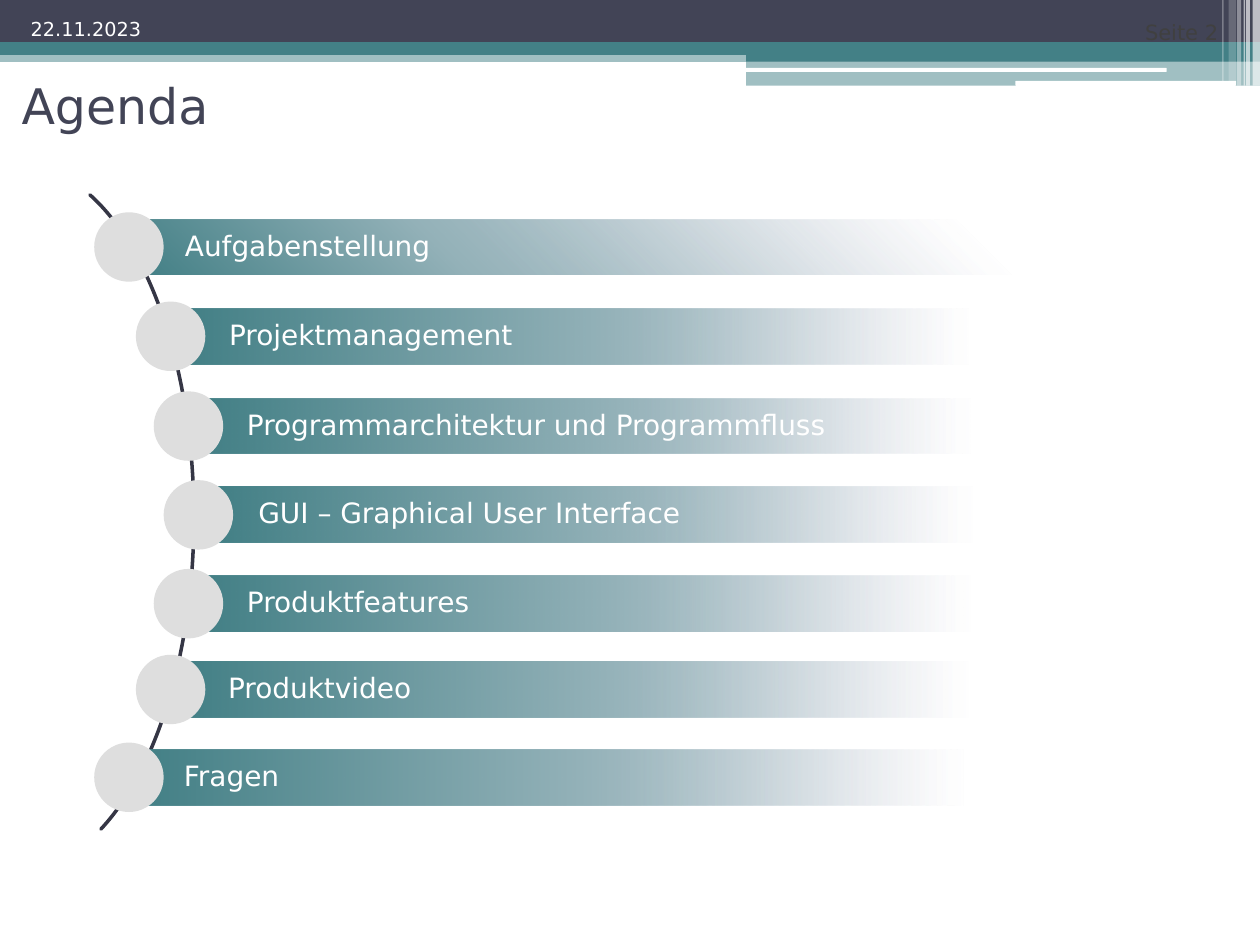
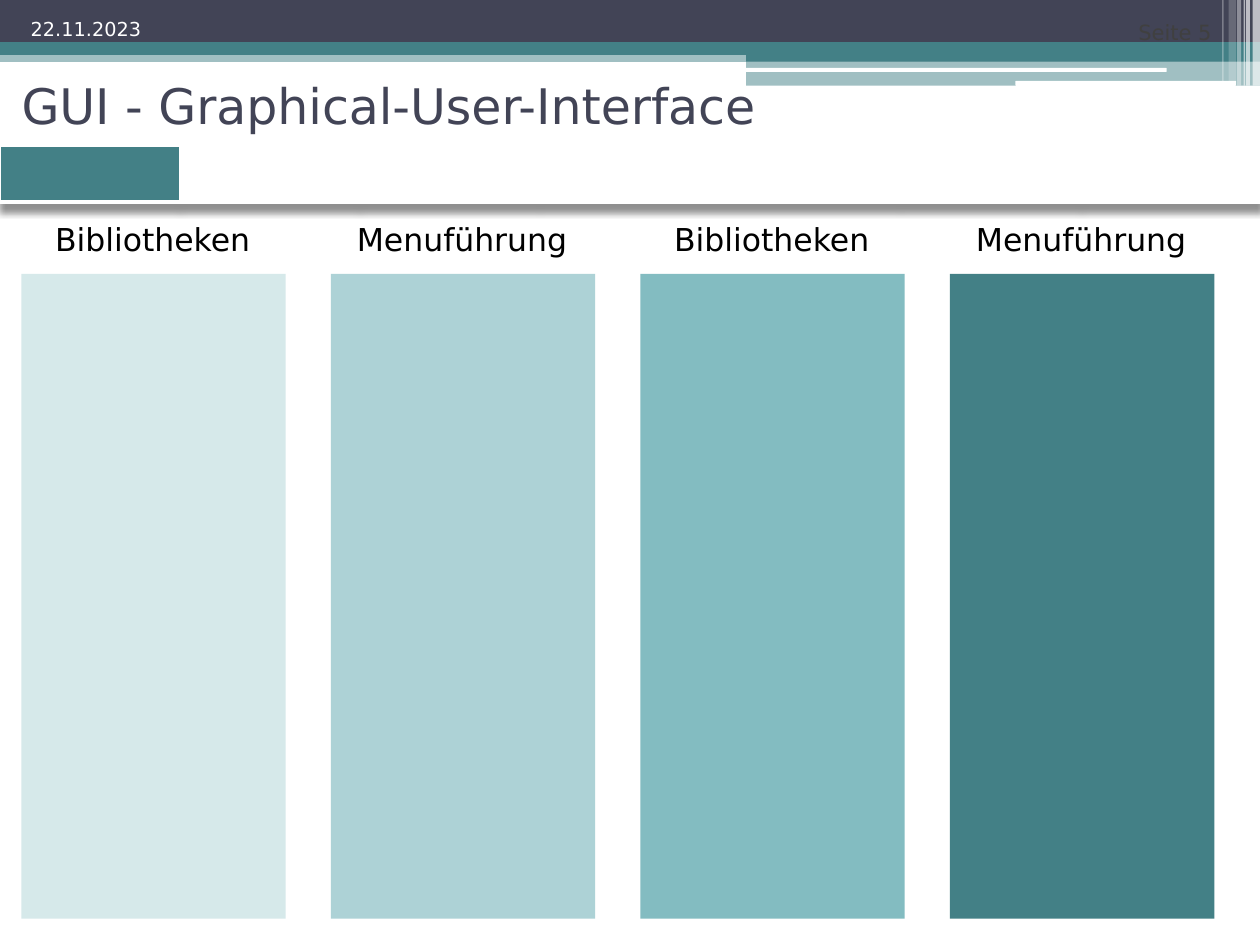
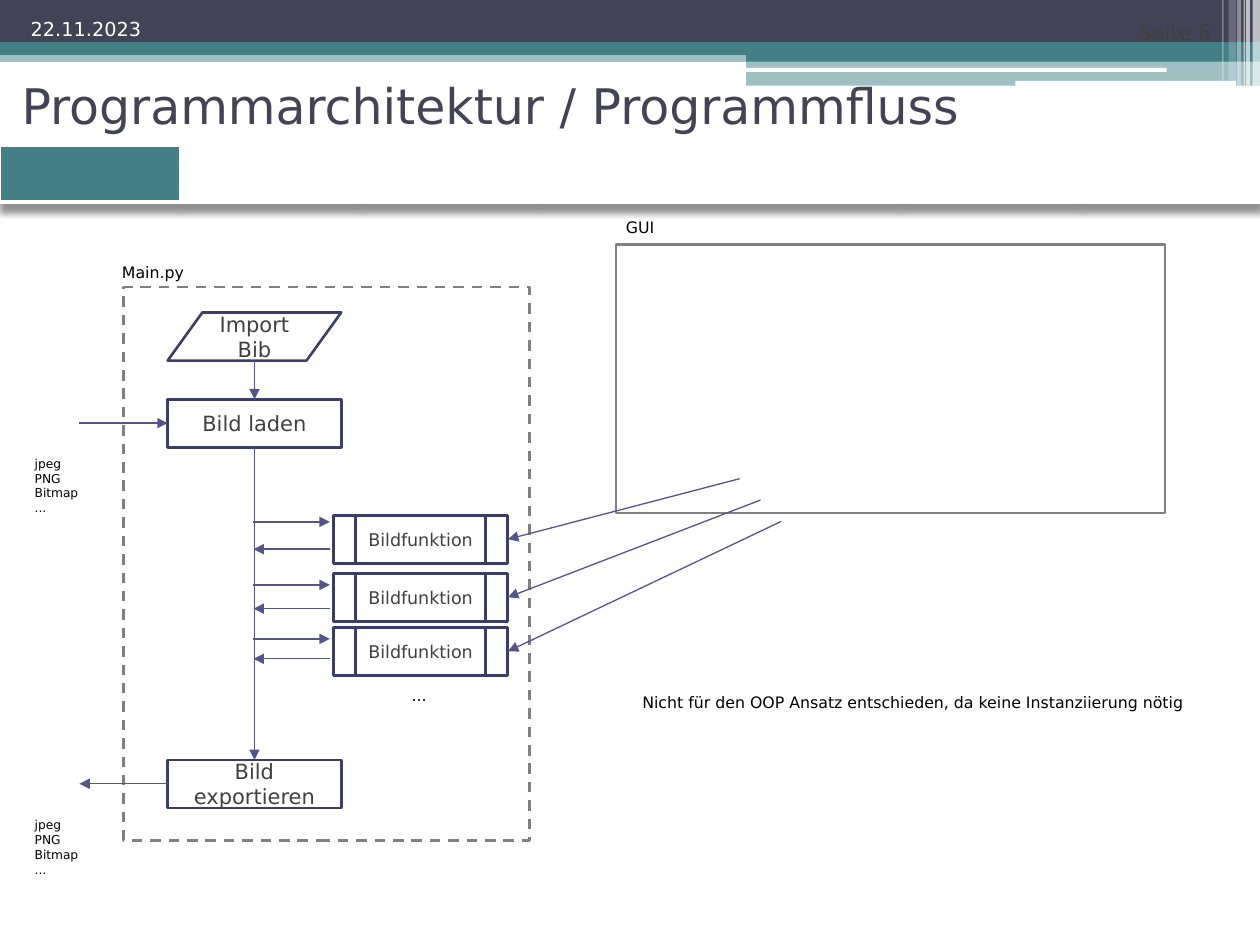
"""Build three slides on an image program: agenda, user interface and program flow."""
from lxml.etree import SubElement
from pptx import Presentation
from pptx.dml.color import RGBColor
from pptx.enum.dml import MSO_LINE
from pptx.enum.shapes import MSO_CONNECTOR, MSO_SHAPE
from pptx.enum.text import MSO_ANCHOR, MSO_AUTO_SIZE, PP_ALIGN
from pptx.oxml import parse_xml
from pptx.oxml.ns import nsdecls, qn
from pptx.util import Cm, Pt

FONT = "DejaVu Sans"
HUES = {
    "navy": "424456", "teal": "438086", "white": "FFFFFF", "black": "000000",
    "text": "404040", "arc": "353645", "dot": "DEDEDE", "grey": "808080",
    "edge": "3D3E66", "arrow": "53548A", "pale": "D6E9EA", "light": "ADD2D6",
    "mid": "83BCC1", "lilac": "A3A4C3", "mist": "94B2B9", "haze": "E4E4EC",
}
RECT = MSO_SHAPE.RECTANGLE
ROUND = MSO_SHAPE.ROUNDED_RECTANGLE


def draw(slide, kind, place, fill=None, line=None, width=1.5, alpha=100):
    """Add a preset shape with a flat fill and outline."""
    shape = slide.shapes.add_shape(kind, *map(Cm, place))
    shape.shadow.inherit = False
    if fill:
        shape.fill.solid()
        shape.fill.fore_color.rgb = RGBColor.from_string(HUES[fill])
    else:
        shape.fill.background()
    if line:
        shape.line.color.rgb = RGBColor.from_string(HUES[line])
        shape.line.width = Pt(width)
    else:
        shape.line.fill.background()
    if alpha < 100:
        tint = shape.element.spPr.find(".//" + qn("a:srgbClr"))
        SubElement(tint, qn("a:alpha"), val=str(alpha * 1000))
    return shape


def write(shape, text, size, hue="black", align=PP_ALIGN.LEFT,
          anchor=MSO_ANCHOR.MIDDLE, wrap=True):
    """Set and format the text of a shape."""
    frame = shape.text_frame
    frame.text = text
    frame.word_wrap = wrap
    frame.auto_size = MSO_AUTO_SIZE.NONE if wrap else MSO_AUTO_SIZE.SHAPE_TO_FIT_TEXT
    frame.vertical_anchor = anchor
    for para in frame.paragraphs:
        para.alignment = align
        for run in para.runs:
            run.font.name = FONT
            run.font.size = Pt(size)
            run.font.color.rgb = RGBColor.from_string(HUES[hue])


prs = Presentation()
prs.slide_width, prs.slide_height = Cm(25.4), Cm(19.05)
layout = prs.slide_layouts[5]
for holder in list(layout.placeholders)[1:]:
    layout.shapes.element.remove(holder.element)

slides = []
for title, page in [("Agenda", "Seite 2"),
                    ("GUI - Graphical-User-Interface", "Seite 5 "),
                    ("Programmarchitektur / Programmfluss", "Seite 6 ")]:
    slide = prs.slides.add_slide(layout)
    slides.append(slide)
    head = slide.shapes.title
    head.left, head.top, head.width, head.height = map(Cm, (0.18, 1.32, 22.86, 1.6))
    write(head, title, 28, "navy")
    for place, text, size, hue in [((20.29, 0, 4.52, 1.02), page, 12, "text"),
                                   ((0.18, -0.08, 2.92, 1.02), "22.11.2023", 11, "white")]:
        label = slide.shapes.add_textbox(*map(Cm, place))
        write(label, text, size, hue, PP_ALIGN.RIGHT, MSO_ANCHOR.BOTTOM)

agenda, gui, flow = slides

bands = [
    (RECT, (0, 1.02, 25.4, 0.23), "teal", 50),
    (RECT, (0, 0, 25.4, 0.86), "navy", 100),
    (RECT, (0, 0.85, 25.4, 0.26), "teal", 100),
    (RECT, (15.04, 0.99, 10.36, 0.25), "teal", 100),
    (RECT, (15.04, 1.22, 10.36, 0.51), "teal", 50),
    (ROUND, (15.01, 1.37, 8.51, 0.08), "white", 100),
    (ROUND, (20.47, 1.63, 4.45, 0.1), "white", 100),
]
for left, width, height, alpha in [(25.25, 0.15, 1.73, 65), (25.12, 0.08, 1.73, 65),
                                   (25.07, 0.03, 1.73, 60), (24.94, 0.08, 1.73, 40),
                                   (24.77, 0.15, 1.63, 20), (24.64, 0.03, 1.63, 30)]:
    bands.append((RECT, (left, 0, width, height), "white", alpha))
for kind, place, fill, alpha in bands:
    band = draw(agenda, kind, place, fill, alpha=alpha)
    layout.shapes.element.append(band.element)

arc = draw(agenda, MSO_SHAPE.BLOCK_ARC, (-3.1, 3.33, 7.01, 14.2), line="arc", width=2)
for i, value in enumerate((169.34, 45.27, 0)):
    arc.adjustments[i] = value

topics = [
    ("Aufgabenstellung", 2.84, 4.42, 1.9),
    ("Projektmanagement", 3.73, 6.22, 2.74),
    ("Programmarchitektur und Programmfluss", 4.09, 8.03, 3.1),
    ("GUI – Graphical User Interface", 4.32, 9.82, 3.3),
    ("Produktfeatures", 4.09, 11.61, 3.1),
    ("Produktvideo", 3.71, 13.34, 2.74),
    ("Fragen", 2.82, 15.11, 1.9),
]
for i, (topic, left, top, dot) in enumerate(topics):
    stops = [(0, "lilac", 100), (0, "teal", 100), (47 if i else 33, "mist", 100), (88, "haze", 0)]
    marks = "".join(
        f'<a:gs pos="{pos * 1000}"><a:srgbClr val="{HUES[hue]}">'
        f'<a:alpha val="{alpha * 1000}"/></a:srgbClr></a:gs>' for pos, hue, alpha in stops)
    course = ('<a:lin ang="0" scaled="0"/>' if i else
              '<a:path path="circle"><a:fillToRect t="100000" r="100000"/></a:path>')
    for text in ("", topic):
        bar = draw(agenda, RECT, (left, top, 21.7 - left, 1.12))
        props = bar.element.spPr
        props.replace(props.find(qn("a:noFill")), parse_xml(
            f'<a:gradFill {nsdecls("a")} rotWithShape="1"><a:gsLst>{marks}</a:gsLst>{course}</a:gradFill>'))
        if text:
            write(bar, text, 16, "white")
            frame = bar.text_frame
            frame.margin_left = Cm(0.89)
            frame.margin_top = frame.margin_right = frame.margin_bottom = Cm(0.1)
            frame.paragraphs[0].line_spacing = 0.9
    draw(agenda, MSO_SHAPE.OVAL, (dot, top - 0.14, 1.4, 1.4), "dot")

for slide in (gui, flow):
    table = slide.shapes.add_table(1, 7, *map(Cm, (0, 2.95, 25.4, 1.12))).table
    table.first_row = table.horz_banding = False
    table._tbl.tblPr.insert(0, parse_xml(
        f'<a:effectLst {nsdecls("a")}><a:outerShdw blurRad="50800" dist="50800" dir="5400000">'
        '<a:srgbClr val="000000"><a:alpha val="43000"/></a:srgbClr></a:outerShdw></a:effectLst>'))
    for i in range(7):
        cell = table.cell(0, i)
        cell.fill.solid()
        cell.fill.fore_color.rgb = RGBColor.from_string(HUES["white" if i else "teal"])
        for k, (side, width) in enumerate([("L", 1), ("R", 1), ("T", 1), ("B", 3)]):
            cell._tc.tcPr.insert(k, parse_xml(
                f'<a:ln{side} {nsdecls("a")} w="{Pt(width)}"><a:solidFill>'
                f'<a:srgbClr val="{HUES["white"]}"/></a:solidFill></a:ln{side}>'))

for i, fill in enumerate(("pale", "light", "mid", "teal")):
    left = 0.43 + 6.24 * i
    draw(gui, RECT, (left, 5.52, 5.33, 13), fill)
    text, width = [("Bibliotheken", 4.47), ("Menuführung", 4.78)][i % 2]
    label = gui.shapes.add_textbox(*map(Cm, (left + (5.33 - width) / 2, 4.32, width, 1.02)))
    write(label, text, 18, anchor=MSO_ANCHOR.TOP, wrap=False)

main = draw(flow, RECT, (2.49, 5.79, 8.18, 11.15), line="grey")
main.line.dash_style = MSO_LINE.DASH
draw(flow, RECT, (12.42, 4.93, 11.07, 5.41), line="grey")

types = "jpeg\nPNG\nBitmap\n..."
for text, size, place in [
    ("Main.py", 9, (2.21, 5.18, 1.78, 0.64)),
    ("GUI", 9, (12.37, 4.27, 1.14, 0.64)),
    ("Nicht für den OOP Ansatz entschieden, da keine Instanziierung nötig", 9,
     (12.7, 13.84, 11.61, 0.64)),
    ("...", 9, (8.05, 13.69, 0.86, 0.64)),
    (types, 7, (0.45, 9.07, 1.45, 1.45)),
    (types, 7, (0.45, 16.36, 1.45, 1.45)),
]:
    note = flow.shapes.add_textbox(*map(Cm, place))
    write(note, text, size, anchor=MSO_ANCHOR.TOP, wrap=False)

steps = [
    (MSO_SHAPE.FLOWCHART_DATA, "Import Bib", 12, 3.38, 6.3),
    (RECT, "Bild laden", 12, 3.38, 8.05),
    (RECT, "Bild exportieren", 12, 3.38, 15.32),
]
arrows = [
    (1.6, 8.53, 3.38, 8.53),
    (3.38, 15.8, 1.6, 15.8),
    (5.13, 7.28, 5.13, 8.05),
    (5.13, 9.02, 5.13, 15.32),
]
for i, (top, forth, back) in enumerate([(10.39, 10.52, 11.07), (11.56, 11.79, 12.27),
                                        (12.65, 12.88, 13.28)]):
    steps.append((MSO_SHAPE.FLOWCHART_PREDEFINED_PROCESS, "Bildfunktion", 10, 6.73, top))
    arrows += [
        (5.11, forth, 6.65, forth),
        (6.65, back, 5.11, back),
        (14.91 + 0.42 * i, 9.65 + 0.43 * i, 10.24, top + 0.48),
    ]
for kind, text, size, left, top in steps:
    step = draw(flow, kind, (left, top, 3.5, 0.97), line="edge")
    write(step, text, size, "text", PP_ALIGN.CENTER)
for ends in arrows:
    arrow = flow.shapes.add_connector(MSO_CONNECTOR.STRAIGHT, *map(Cm, ends))
    arrow.line.color.rgb = RGBColor.from_string(HUES["arrow"])
    arrow.line.width = Pt(0.75)
    props = arrow.element.spPr
    SubElement(props.find(qn("a:ln")), qn("a:tailEnd"), type="triangle")
    SubElement(props, qn("a:effectLst"))

prs.save("out.pptx")
